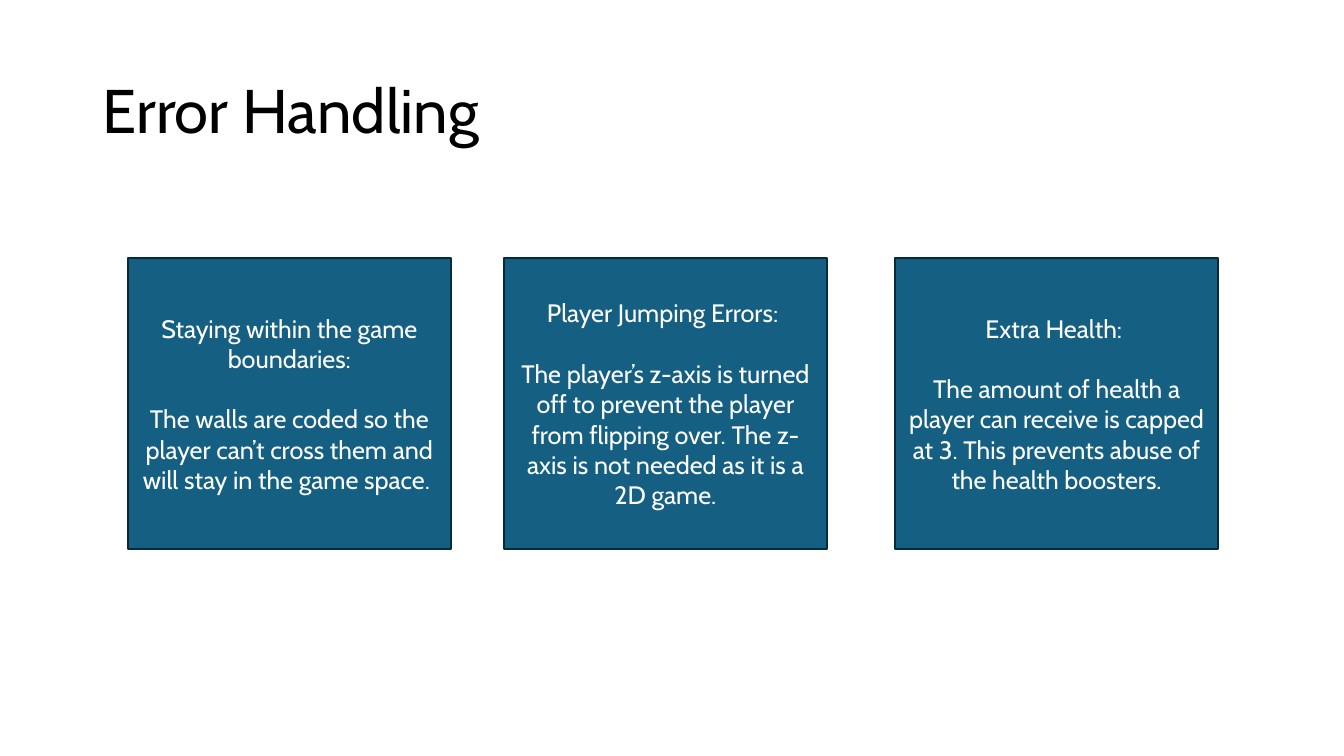
from pptx import Presentation
from pptx.dml.color import RGBColor
from pptx.enum.shapes import MSO_SHAPE as Shape
from pptx.enum.text import MSO_ANCHOR as Anchor, PP_ALIGN as Align
from pptx.util import Inches, Pt

WIDTH, HEIGHT = 13.33, 7.5
FONT = "Cabin"
COLORS = {"title": "000000", "card": "156082", "border": "092A39", "text": "FFFFFF"}

CARD_W, CARD_H, CARD_TOP = 3.2, 2.89, 2.56
CARDS = [
    (1.27, "Staying within the game boundaries:",
     "The walls are coded so the player can’t cross them and will stay in the game space. "),
    (5.0, "Player Jumping Errors: ",
     "The player’s z-axis is turned off to prevent the player from flipping over. "
     "The z-axis is not needed as it is a 2D game."),
    (8.88, "Extra Health: ",
     "The amount of health a player can receive is capped at 3. "
     "This prevents abuse of the health boosters."),
]


def color(name):
    return RGBColor.from_string(COLORS[name])


def add_run(p, text, size, color_name):
    r = p.add_run()
    r.text = text
    r.font.name = FONT
    r.font.size = Pt(size)
    r.font.color.rgb = color(color_name)


def add_title(slide, box, text):
    tf = slide.shapes.add_textbox(*map(Inches, box)).text_frame
    tf.word_wrap = True
    tf.vertical_anchor = Anchor.MIDDLE
    p = tf.paragraphs[0]
    p.line_spacing = 0.9
    add_run(p, text, 44, "title")


def add_card(slide, box, heading, body):
    sp = slide.shapes.add_shape(Shape.RECTANGLE, *map(Inches, box))
    sp.shadow.inherit = False
    sp.fill.solid()
    sp.fill.fore_color.rgb = color("card")
    sp.line.color.rgb = color("border")
    sp.line.width = Pt(1.5)
    tf = sp.text_frame
    tf.word_wrap = True
    tf.vertical_anchor = Anchor.MIDDLE
    # Heading, then the explanation one line lower
    for p, text in ((tf.paragraphs[0], heading), (tf.add_paragraph(), body)):
        p.alignment = Align.CENTER
        add_run(p, text, 18, "text")
    p.space_before = Pt(21.7)


def main():
    prs = Presentation()
    prs.slide_width, prs.slide_height = Inches(WIDTH), Inches(HEIGHT)
    slide = prs.slides.add_slide(prs.slide_layouts[6])

    # Title
    add_title(slide, (0.92, 0.4, 11.5, 1.45), "Error Handling")

    # Row of error cards
    for left, heading, body in CARDS:
        add_card(slide, (left, CARD_TOP, CARD_W, CARD_H), heading, body)

    prs.save("out.pptx")


if __name__ == "__main__":
    main()
